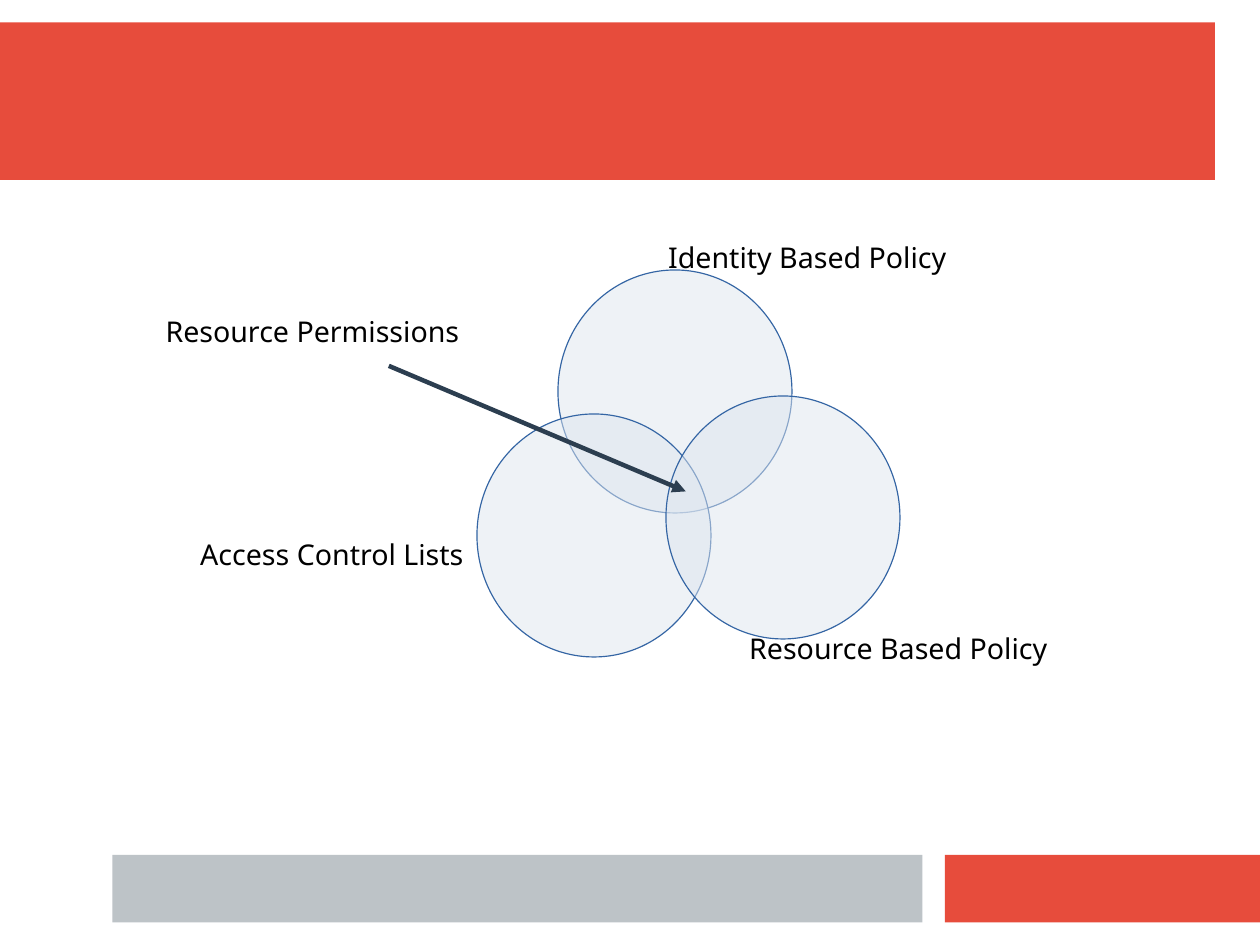
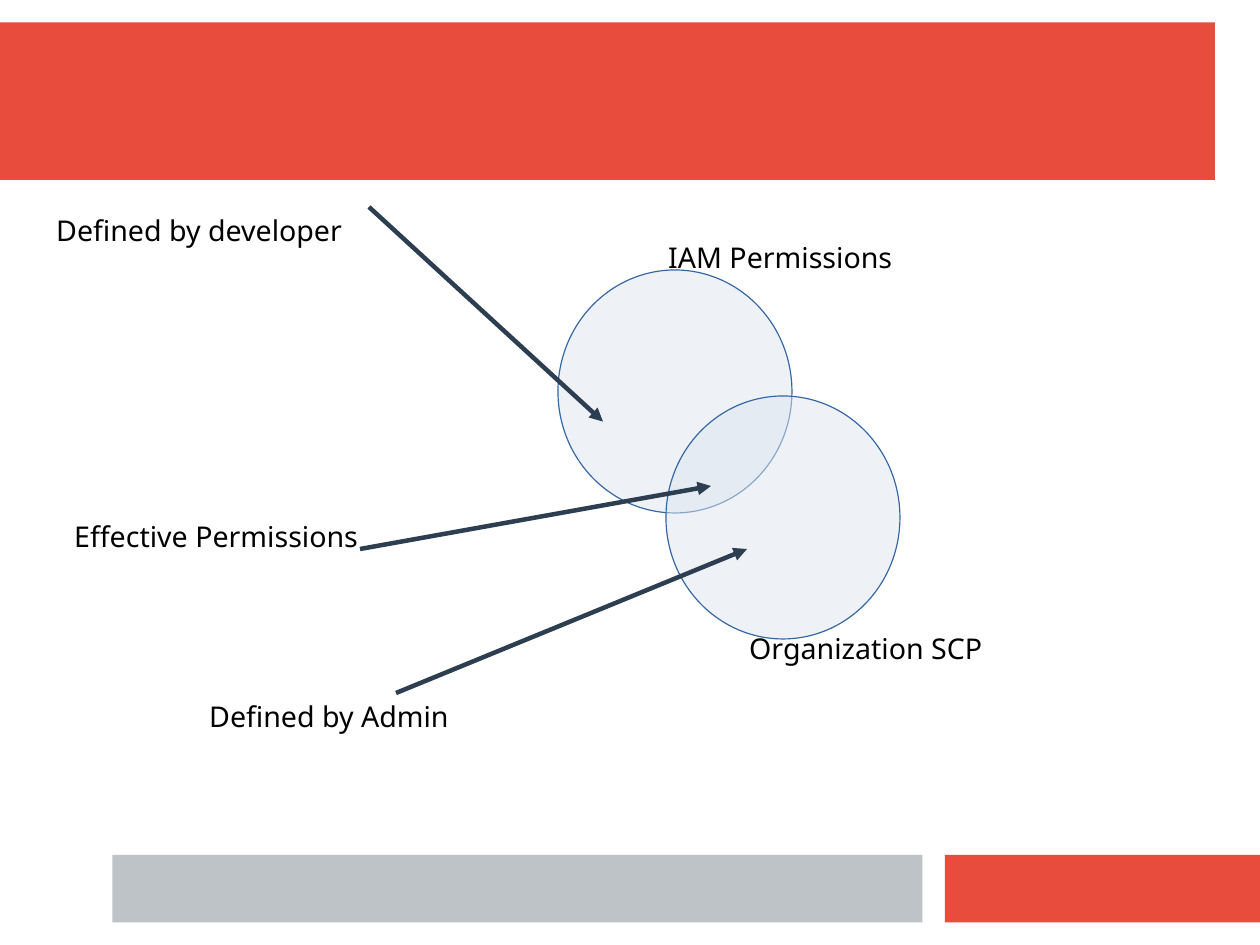
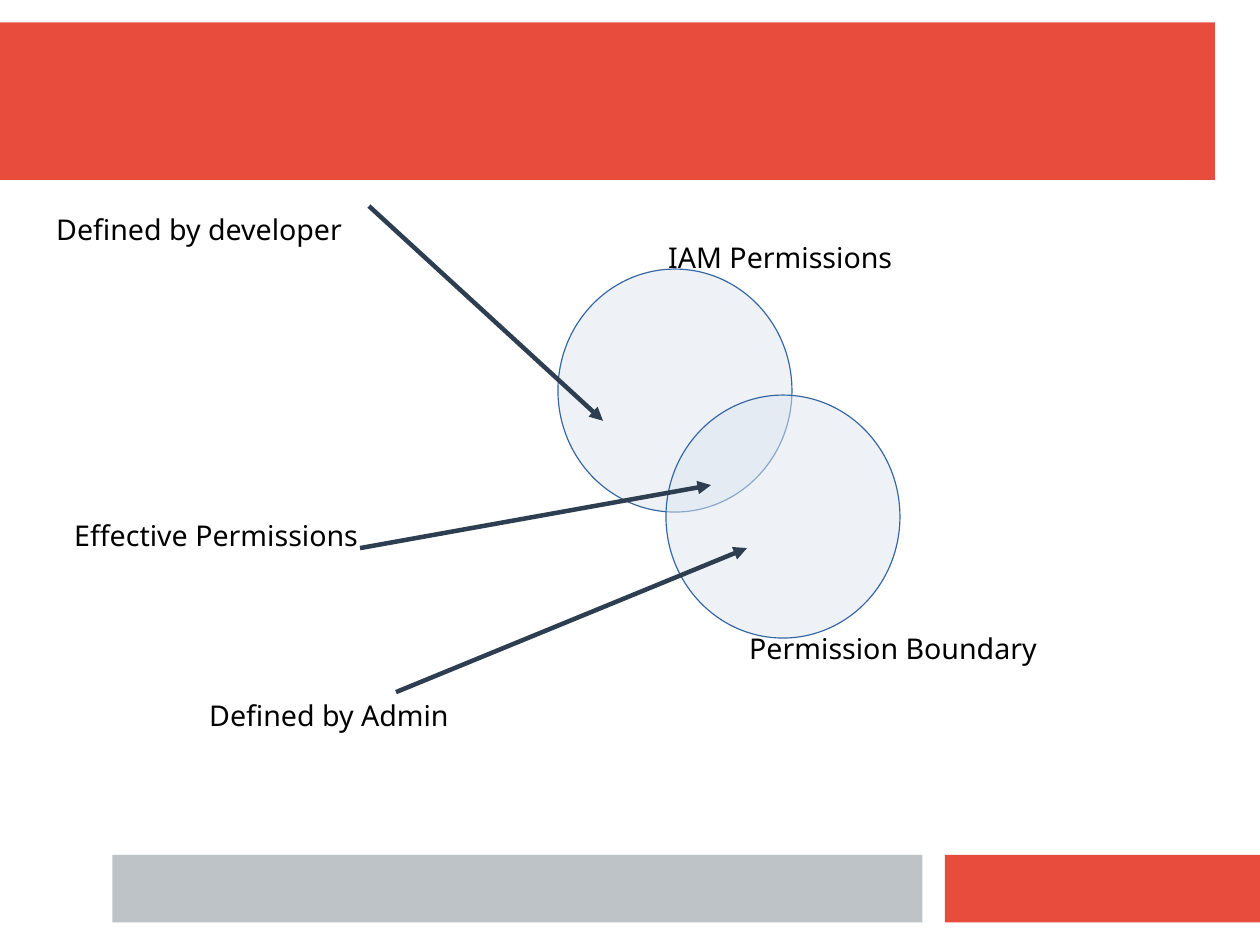
from dataclasses import dataclass

from lxml.etree import SubElement
from pptx import Presentation
from pptx.dml.color import RGBColor
from pptx.enum.shapes import MSO_CONNECTOR as Connector, MSO_SHAPE as Preset
from pptx.oxml.ns import qn
from pptx.shapes.autoshape import Shape
from pptx.slide import Slide, SlideLayout
from pptx.util import Cm, Pt

RED = RGBColor(0xE7, 0x4C, 0x3C)
GREY = RGBColor(0xBD, 0xC3, 0xC7)
PALE_BLUE = RGBColor(0xDE, 0xE6, 0xEF)
OUTLINE_BLUE = RGBColor(0x34, 0x65, 0xA4)
NAVY = RGBColor(0x2C, 0x3E, 0x50)
BLACK = RGBColor(0, 0, 0)
FONT = "Noto Sans"

CIRCLE_WIDTH, CIRCLE_HEIGHT = 5.2, 5.4
LABEL_WIDTH, LABEL_HEIGHT = 11.8, 1.12


@dataclass(frozen=True)
class Band:
    left: float
    top: float
    width: float
    height: float
    color: RGBColor


@dataclass(frozen=True)
class Circle:
    left: float
    top: float


@dataclass(frozen=True)
class Label:
    text: str
    left: float
    top: float


@dataclass(frozen=True)
class Arrow:
    start_x: float
    start_y: float
    end_x: float
    end_y: float


BANDS = (
    Band(0, 0.5, 27, 3.5, RED),
    Band(21, 19, 7, 1.5, RED),
    Band(2.5, 19, 18, 1.5, GREY),
)

TOP_CIRCLE = Circle(12.4, 6)
LEFT_CIRCLE = Circle(10.6, 9.2)
RIGHT_CIRCLE = Circle(14.8, 8.8)

EXPLANATION_ARROWS = (
    Arrow(8, 12.2, 15.8, 10.8),
    Arrow(8.8, 15.4, 16.6, 12.2),
    Arrow(8.2, 4.6, 13.4, 9.37),
)
EXPLANATION_LABELS = (
    Label("Effective Permissions", 1.4, 11.4),
    Label("Defined by developer", 1, 4.6),
    Label("Defined by Admin", 4.4, 15.4),
)


def add_filled_shape(page: Slide, preset: Preset, left: float, top: float,
                     width: float, height: float, color: RGBColor) -> Shape:
    shape = page.shapes.add_shape(preset, Cm(left), Cm(top), Cm(width), Cm(height))
    shape.shadow.inherit = False
    shape.fill.solid()
    shape.fill.fore_color.rgb = color
    return shape


def move_bands_to_layout(page: Slide, layout: SlideLayout) -> None:
    for placeholder in list(layout.placeholders):
        placeholder.element.getparent().remove(placeholder.element)
    for band in BANDS:
        shape = add_filled_shape(page, Preset.RECTANGLE, band.left, band.top,
                                 band.width, band.height, band.color)
        shape.line.fill.background()
        layout.element.cSld.spTree.append(shape.element)


def add_circle(page: Slide, circle: Circle, shift: float = 0) -> None:
    shape = add_filled_shape(page, Preset.OVAL, circle.left, circle.top + shift,
                             CIRCLE_WIDTH, CIRCLE_HEIGHT, PALE_BLUE)
    color = shape.element.spPr.find(f"{qn('a:solidFill')}/{qn('a:srgbClr')}")
    SubElement(color, qn("a:alpha"), val="50000")
    shape.line.color.rgb = OUTLINE_BLUE
    shape.line.width = Pt(0.75)


def add_label(page: Slide, label: Label, shift: float = 0) -> None:
    box = page.shapes.add_textbox(Cm(label.left), Cm(label.top + shift),
                                  Cm(LABEL_WIDTH), Cm(LABEL_HEIGHT))
    box.text_frame.word_wrap = True
    para = box.text_frame.paragraphs[0]
    para.text = label.text
    para.font.name = FONT
    para.font.size = Pt(18)
    para.font.color.rgb = BLACK


def add_arrow(page: Slide, arrow: Arrow, shift: float = 0) -> None:
    connector = page.shapes.add_connector(
        Connector.STRAIGHT, Cm(arrow.start_x), Cm(arrow.start_y + shift),
        Cm(arrow.end_x), Cm(arrow.end_y + shift))
    connector.line.color.rgb = NAVY
    connector.line.width = Pt(2.83)
    properties = connector.element.spPr
    SubElement(properties.find(qn("a:ln")), qn("a:tailEnd"), type="triangle")
    SubElement(properties, qn("a:effectLst"))


def draw_resource_permissions(page: Slide) -> None:
    for circle in (TOP_CIRCLE, LEFT_CIRCLE, RIGHT_CIRCLE):
        add_circle(page, circle)
    add_label(page, Label("Identity Based Policy", 14.6, 5.2))
    add_label(page, Label("Resource Based Policy", 16.4, 13.9))
    add_label(page, Label("Access Control Lists", 4.2, 11.8))
    add_arrow(page, Arrow(8.64, 8.13, 15.24, 10.92))
    add_label(page, Label("Resource Permissions", 3.43, 6.86))


def draw_effective_permissions(page: Slide, limit: str, shift: float = 0) -> None:
    for circle in (TOP_CIRCLE, RIGHT_CIRCLE):
        add_circle(page, circle, shift)
    add_label(page, Label("IAM Permissions", 14.6, 5.2))
    add_label(page, Label(limit, 16.4, 13.9))
    for arrow in EXPLANATION_ARROWS:
        add_arrow(page, arrow, shift)
    for label in EXPLANATION_LABELS:
        add_label(page, label, shift)


def main() -> None:
    deck = Presentation()
    deck.slide_width, deck.slide_height = Cm(28), Cm(21)
    layout = deck.slide_layouts.get_by_name("Blank")
    resource_page, organization_page, boundary_page = (
        deck.slides.add_slide(layout) for _ in range(3))
    for page in deck.slides:
        for placeholder in list(page.placeholders):
            placeholder.element.getparent().remove(placeholder.element)
    move_bands_to_layout(resource_page, layout)
    draw_resource_permissions(resource_page)
    draw_effective_permissions(organization_page, "Organization SCP")
    draw_effective_permissions(boundary_page, "Permission Boundary", shift=-0.02)
    deck.save("out.pptx")


main()
